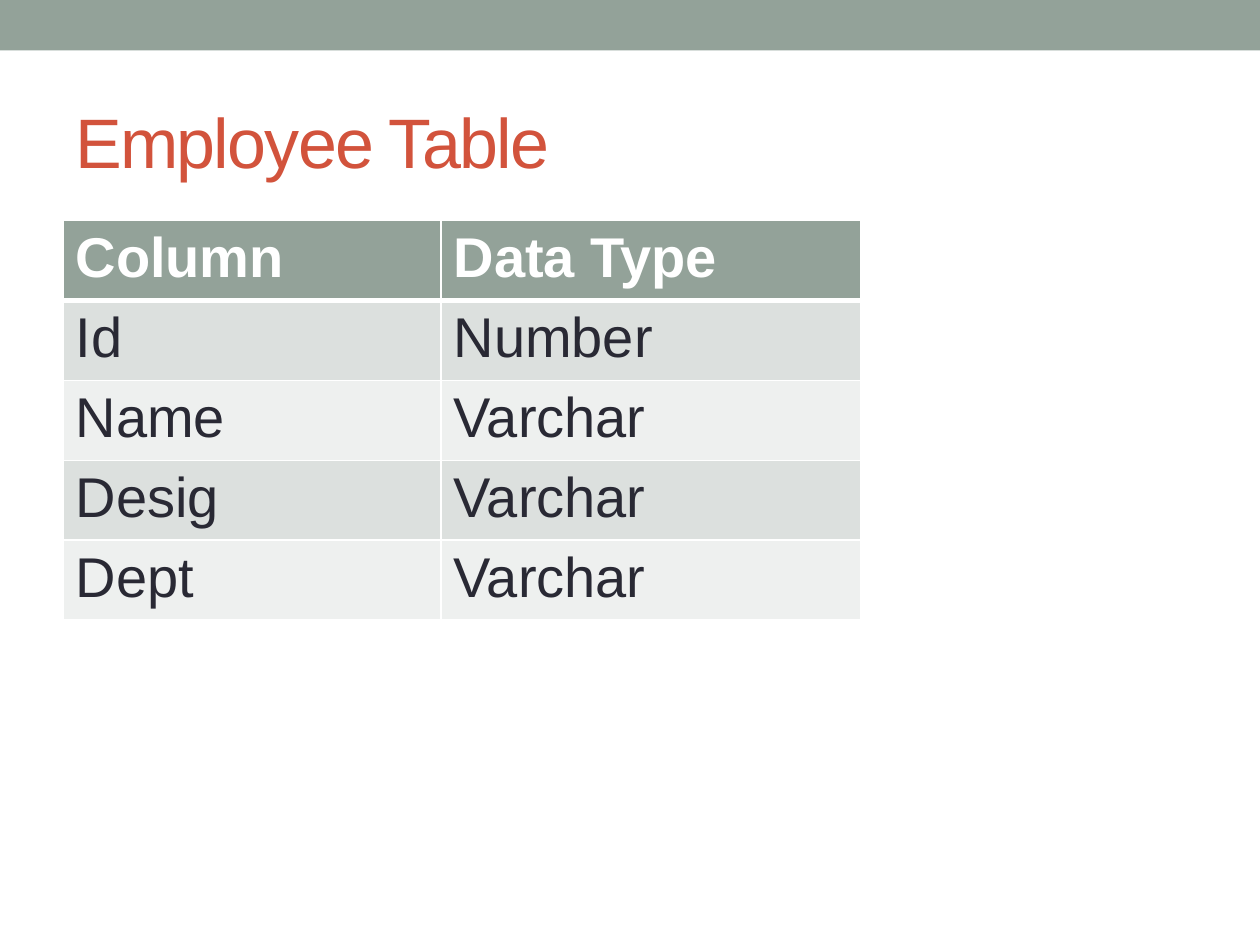
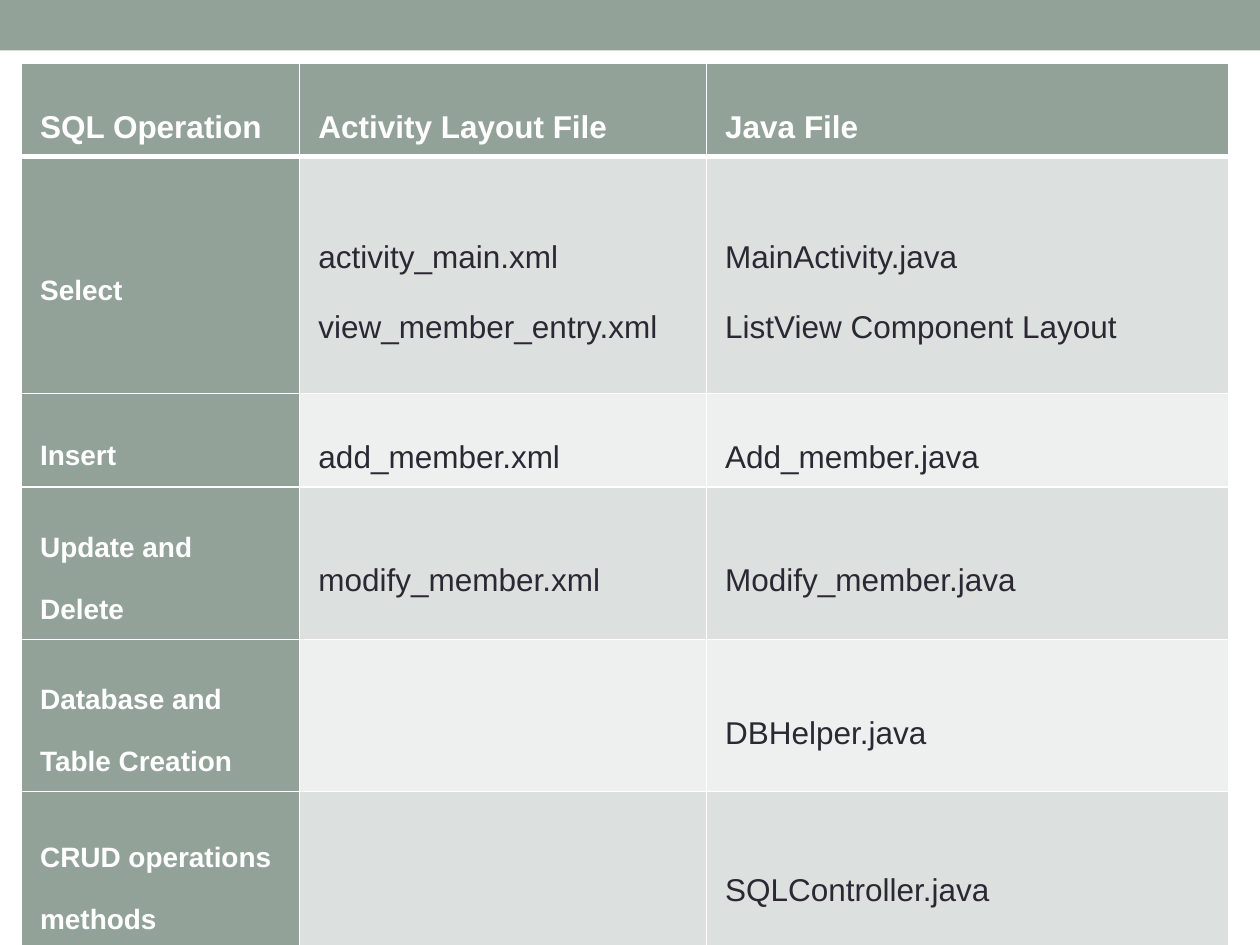
from lxml.etree import SubElement
from pptx import Presentation
from pptx.dml.color import RGBColor
from pptx.enum.shapes import MSO_SHAPE as Shape
from pptx.enum.text import MSO_ANCHOR as Anchor
from pptx.oxml.ns import qn
from pptx.util import Cm, Pt

FONT = "Arial"
SAGE, RUST, INK, WHITE = "93A299", "D2533C", "292934", "FFFFFF"
BANDS = ("DCE0DE", "EEF0EF")


def paint(target, code):
    """Give a fill or a font a solid colour from a hex string."""
    if hasattr(target, "solid"):
        target.solid()
        target.fore_color.rgb = RGBColor.from_string(code)
    else:
        target.color.rgb = RGBColor.from_string(code)


def write(frame, text, size=18, color=INK, bold=False, space=None, track=None):
    """Write text, one paragraph per newline and a line break per vertical tab."""
    for i, line in enumerate(text.split("\n")):
        para = frame.add_paragraph() if i else frame.paragraphs[0]
        para.text = line
        if space:
            para.line_spacing = space
        for run in para.runs:
            font = run.font
            font.name, font.size, font.bold = FONT, Pt(size), bold
            paint(font, color)
            if track:
                run._r.get_or_add_rPr().set("spc", str(track * 100))


def edge(cell, top=1, base=1):
    """Draw white borders round a cell, with top and base widths in points."""
    props = cell._tc.get_or_add_tcPr()
    for i, (side, width) in enumerate(zip("LRTB", (1, 1, top, base))):
        line = SubElement(props, qn(f"a:ln{side}"), w=str(Pt(width)))
        fill = SubElement(line, qn("a:solidFill"))
        SubElement(fill, qn("a:srgbClr"), val=WHITE)
        props.insert(i, line)


def add_page(deck):
    """Add a blank slide with the band across its top."""
    page = deck.slides.add_slide(deck.slide_layouts[6])
    band = page.shapes.add_shape(Shape.RECTANGLE, 0, 0, deck.slide_width, Cm(1.02))
    band.shadow.inherit = False
    paint(band.fill, SAGE)
    band.line.fill.background()
    return page


def add_title(page, text):
    """Add the slide title."""
    box = page.shapes.add_textbox(Cm(1.27), Cm(1.47), Cm(22.86), Cm(2.74))
    frame = box.text_frame
    frame.word_wrap = True
    frame.vertical_anchor = Anchor.MIDDLE
    write(frame, text, size=40, color=RUST, track=-1)


def add_grid(page, data, left, top, widths, heights, size, side=None, pad=None, space=None):
    """Add a banded table; side is the text size of a heading column."""
    frame = page.shapes.add_table(len(data), len(widths), Cm(left), Cm(top),
                                  Cm(sum(widths)), Cm(sum(heights)))
    grid = frame.table
    grid.first_col = side is not None
    for col, width in zip(grid.columns, widths):
        col.width = Cm(width)
    for r, (row, height) in enumerate(zip(data, heights)):
        grid.rows[r].height = Cm(height)
        for c, text in enumerate(row):
            cell = grid.cell(r, c)
            head = r == 0 or (side is not None and c == 0)
            paint(cell.fill, SAGE if head else BANDS[(r - 1) % 2])
            edge(cell, top=3 if r == 1 else 1, base=3 if r == 0 else 1)
            if pad:
                cell.margin_left = cell.margin_right = Cm(pad[0])
                cell.margin_top = cell.margin_bottom = Cm(pad[1])
                cell.vertical_anchor = Anchor.MIDDLE
            if text:
                write(cell.text_frame, text, size=side if head and r else size,
                      color=WHITE if head else INK, bold=head, space=space)


def main():
    """Build both slides and save the deck."""
    deck = Presentation()
    deck.slide_width, deck.slide_height = Cm(25.4), Cm(19.05)

    page = add_page(deck)
    add_title(page, "Employee Table")
    fields = [("Column", "Data Type"), ("Id", "Number"), ("Name", "Varchar"),
              ("Desig", "Varchar"), ("Dept", "Varchar")]
    add_grid(page, fields, 1.27, 4.45, (7.62, 8.46), [1.04] * len(fields), size=32)

    page = add_page(deck)
    files = [
        ("SQL Operation", "Activity Layout File", "Java File"),
        ("Select", "activity_main.xml\vview_member_entry.xml",
         "MainActivity.java\nListView Component Layout"),
        ("Insert", "add_member.xml", "Add_member.java"),
        ("Update and Delete", "modify_member.xml", "Modify_member.java"),
        ("Database and Table Creation", "", "DBHelper.java"),
        ("CRUD operations methods", "", "SQLController.java"),
    ]
    add_grid(page, files, 0.43, 1.27, (5.61, 8.2, 10.54),
             (1.83, 4.78, 1.83, 3.02, 3.02, 3.28), size=18, side=16,
             pad=(0.38, 0.18), space=2.0)

    deck.save("out.pptx")


if __name__ == "__main__":
    main()
